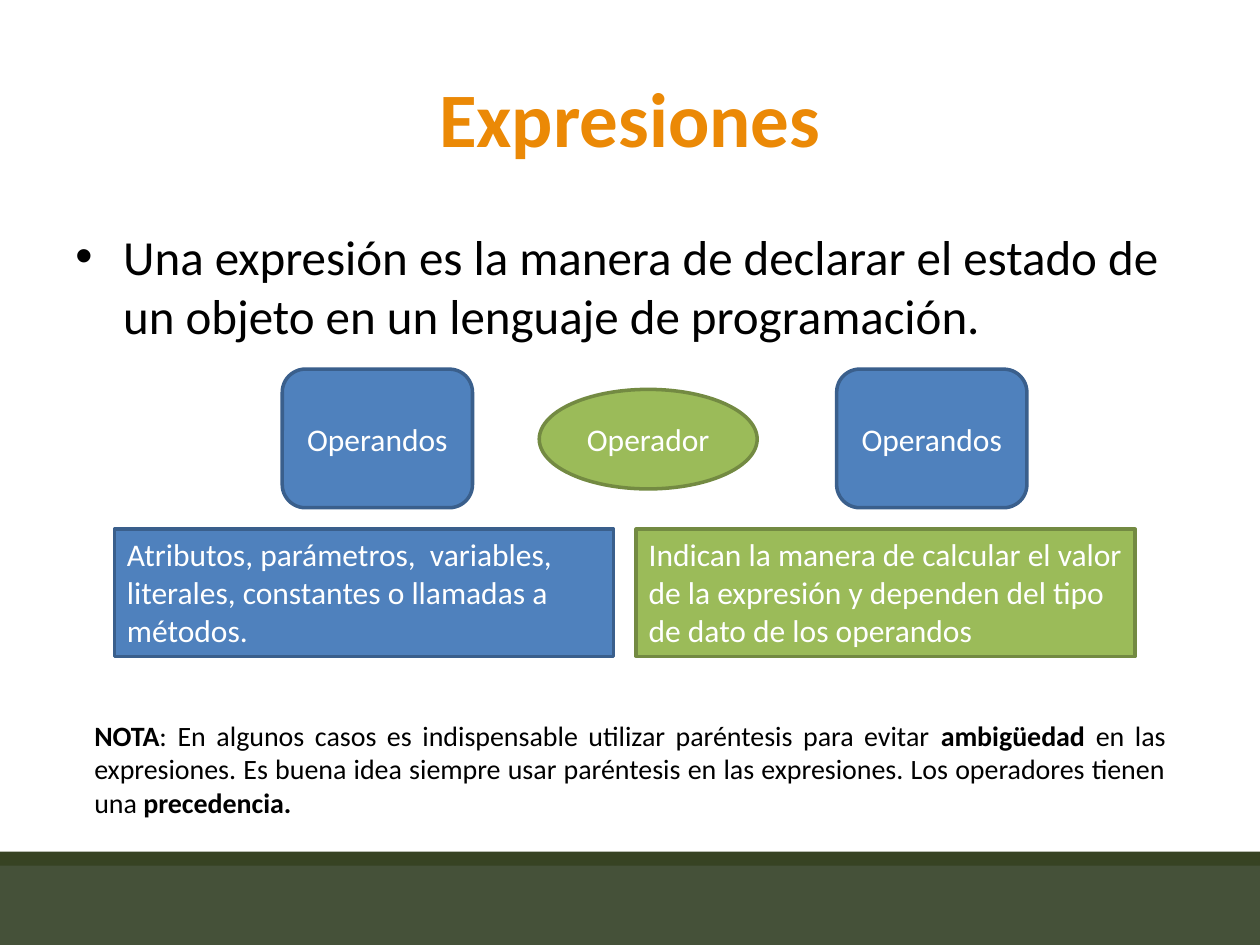
from dataclasses import dataclass
from typing import Optional

import pptx
import pptx.dml.color
import pptx.enum.shapes
import pptx.enum.text
import pptx.oxml
import pptx.oxml.ns
import pptx.util

KIND = pptx.enum.shapes.MSO_SHAPE
ALIGN = pptx.enum.text.PP_ALIGN
ANCHOR = pptx.enum.text.MSO_ANCHOR
COLS, ROWS = 100, 75


@dataclass(frozen=True)
class Tone:
    fill: str
    line: Optional[str] = None


@dataclass(frozen=True)
class Theme:
    font: str = "Calibri"
    title: str = "EB8906"
    ink: str = "000000"
    light: str = "FFFFFF"
    blue: Tone = Tone("4F81BD", "3A5F8C")
    green: Tone = Tone("9BBB59", "738A42")
    strip: Tone = Tone("374323")
    foot: Tone = Tone("455139")
    head_size: int = 44
    body_size: int = 28
    box_size: int = 18
    note_size: int = 16
    edge: int = 2


@dataclass(frozen=True)
class Area:
    """A place on the slide, in grid columns and rows."""
    col: float
    row: float
    wide: float
    high: float


@dataclass(frozen=True)
class Box:
    kind: KIND
    area: Area
    tone: Tone
    text: str = ""
    align: ALIGN = ALIGN.CENTER
    anchor: ANCHOR = ANCHOR.MIDDLE


THEME = Theme()
deck = pptx.Presentation()
deck.slide_width = pptx.util.Inches(10)
deck.slide_height = pptx.util.Inches(7.5)
CELL_W = deck.slide_width / COLS
CELL_H = deck.slide_height / ROWS


def rgb(code: str) -> pptx.dml.color.RGBColor:
    return pptx.dml.color.RGBColor.from_string(code)


def spot(area: Area) -> tuple[int, int, int, int]:
    """Turn grid units into left, top, width and height."""
    return (round(area.col * CELL_W), round(area.row * CELL_H),
            round(area.wide * CELL_W), round(area.high * CELL_H))


def style(para, size: int, color: str, bold: bool = False) -> None:
    for run in para.runs:
        run.font.name = THEME.font
        run.font.size = pptx.util.Pt(size)
        run.font.color.rgb = rgb(color)
        run.font.bold = bold


def draw_box(slide, box: Box) -> None:
    shape = slide.shapes.add_shape(box.kind, *spot(box.area))
    shape.shadow.inherit = False
    shape.fill.solid()
    shape.fill.fore_color.rgb = rgb(box.tone.fill)
    if box.tone.line:
        shape.line.color.rgb = rgb(box.tone.line)
        shape.line.width = pptx.util.Pt(THEME.edge)
    else:
        shape.line.fill.background()
    if box.text:
        frame = shape.text_frame
        frame.text = box.text
        frame.word_wrap = True
        frame.vertical_anchor = box.anchor
        para = frame.paragraphs[0]
        para.alignment = box.align
        style(para, THEME.box_size, THEME.light)


def draw_title(slide, area: Area, text: str) -> None:
    title = slide.shapes.title
    title.left, title.top, title.width, title.height = spot(area)
    frame = title.text_frame
    frame.text = text
    frame.vertical_anchor = ANCHOR.MIDDLE
    para = frame.paragraphs[0]
    para.alignment = ALIGN.CENTER
    style(para, THEME.head_size, THEME.title, bold=True)


def add_text(slide, area: Area):
    """Add a wrapping text box and return its first paragraph."""
    frame = slide.shapes.add_textbox(*spot(area)).text_frame
    frame.word_wrap = True
    return frame.paragraphs[0]


def draw_point(slide, area: Area, text: str) -> None:
    para = add_text(slide, area)
    para.text = text
    para.space_before = pptx.util.Pt(THEME.body_size * 0.2)
    style(para, THEME.body_size, THEME.ink)
    props = para._p.get_or_add_pPr()
    hang = pptx.util.Inches(0.38)
    props.set("marL", str(hang))
    props.set("indent", str(-hang))
    space = pptx.oxml.ns.nsdecls("a")
    for mark in ('buFont {} typeface="Arial"', 'buChar {} char="•"'):
        props.append(pptx.oxml.parse_xml(f"<a:{mark.format(space)}/>"))


def draw_note(slide, area: Area, parts: list[str]) -> None:
    """Write the parts in turn, every other one bold from the first."""
    para = add_text(slide, area)
    para.alignment = ALIGN.JUSTIFY
    for part in parts:
        para.add_run().text = part
    style(para, THEME.note_size, THEME.ink)
    for run in para.runs[::2]:
        run.font.bold = True


def operand(col: float) -> Box:
    return Box(KIND.ROUNDED_RECTANGLE, Area(col, 29.3, 15.1, 11),
               THEME.blue, "Operandos")


def detail(col: float, tone: Tone, text: str) -> Box:
    return Box(KIND.RECTANGLE, Area(col, 42, 39.6, 10.1), tone, text,
               ALIGN.LEFT, ANCHOR.TOP)


BOXES = [
    Box(KIND.RECTANGLE, Area(0, 67.6, COLS, 1.2), THEME.strip),
    Box(KIND.RECTANGLE, Area(0, 68.7, COLS, 6.3), THEME.foot),
    operand(22.4),
    operand(66.4),
    Box(KIND.OVAL, Area(42.8, 30.9, 17.3, 7.9), THEME.green, "Operador"),
    detail(9.1, THEME.blue,
           "Atributos, parámetros,  variables, literales, constantes "
           "o llamadas a métodos."),
    detail(50.5, THEME.green,
           "Indican la manera de calcular el valor de la expresión y "
           "dependen del tipo de dato de los operandos"),
]
NOTE = [
    "NOTA",
    ": En algunos casos es indispensable utilizar paréntesis para evitar ",
    "ambigüedad ",
    "en las expresiones. Es buena idea siempre usar paréntesis en las "
    "expresiones. Los operadores tienen una ",
    "precedencia.",
]


def main() -> None:
    slide = deck.slides.add_slide(deck.slide_layouts.get_by_name("Title Only"))
    draw_title(slide, Area(5, 3, 90, 12.5), "Expresiones")
    draw_point(slide, Area(5, 17.5, 90, 11),
               "Una expresión es la manera de declarar el estado de un objeto "
               "en un lenguaje de programación.")
    for box in BOXES:
        draw_box(slide, box)
    draw_note(slide, Area(6.5, 56.5, 87, 9.1), NOTE)
    deck.save("out.pptx")


if __name__ == "__main__":
    main()
